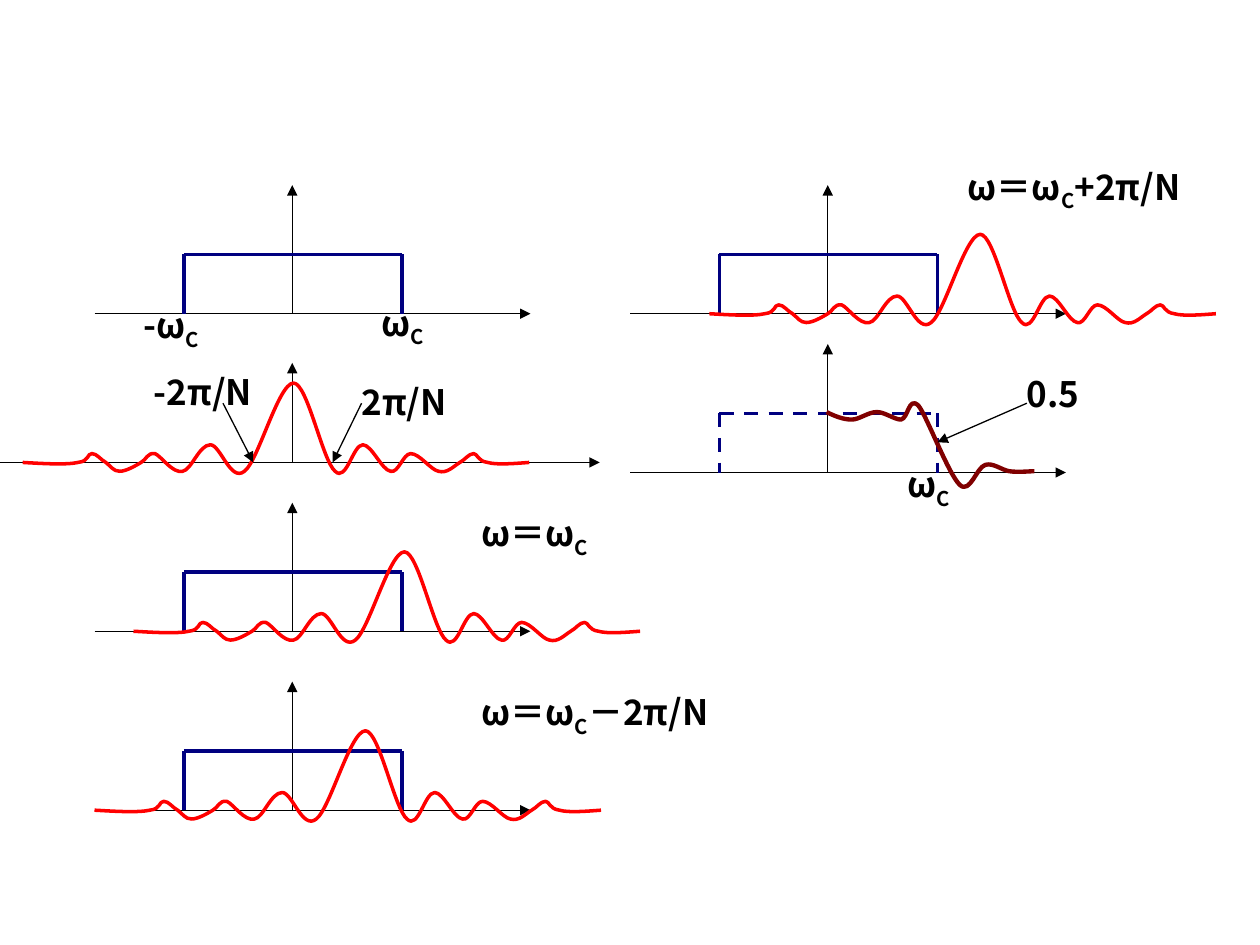
from lxml import etree
from pptx import Presentation
from pptx.dml.color import RGBColor
from pptx.enum.dml import MSO_LINE
from pptx.enum.shapes import MSO_CONNECTOR
from pptx.enum.text import MSO_AUTO_SIZE
from pptx.oxml.ns import qn
from pptx.util import Inches, Pt

STRAIGHT = MSO_CONNECTOR.STRAIGHT
DASH = MSO_LINE.DASH
GROW = MSO_AUTO_SIZE.SHAPE_TO_FIT_TEXT

THEME = dict(font="Noto Sans CJK SC", size=20, text="000000", axis="000000",
             band="000080", kernel="FF0000", result="800000",
             thin=0.75, thick=2, heavy=2.5)

# Plots: axis left, axis right, origin x, baseline, y-axis height,
# band style (None, "solid" or "dash"), kernel start x, small tick
PLOTS = [
    (0.75, 4.21, 2.32, 2.49, 1.02, "solid", None, False),
    (0, 4.76, 2.32, 3.67, 0.79, None, 0.18, False),
    (0.75, 4.21, 2.32, 5.01, 1.02, "solid", 1.06, True),
    (0.75, 4.21, 2.32, 6.43, 1.02, "solid", 0.75, True),
    (5, 8.46, 6.57, 2.49, 1.02, "solid", 5.63, True),
    (5, 8.46, 6.57, 3.75, 1.02, "dash", None, False),
]
BAND_LEFT, BAND_RIGHT, BAND_HEIGHT = -0.86, 0.87, 0.47
TICK = (0.47, 0.40)

# Bezier points: a start, then two controls and an end for each segment
KERNEL = [
    (0, 0), (.17, .01), (.35, .02), (.44, 0), (.53, -.01), (.51, -.07), (.55, -.07),
    (.59, -.07), (.62, -.02), (.66, 0), (.70, .03), (.72, .07), (.77, .07),
    (.82, .07), (.89, .03), (.94, 0), (.98, -.02), (.99, -.08), (1.05, -.07),
    (1.10, -.05), (1.19, .09), (1.27, .07), (1.34, .06), (1.40, -.14), (1.49, -.14),
    (1.57, -.14), (1.65, .16), (1.76, .07), (1.87, -.01), (2.03, -.63), (2.15, -.63),
    (2.26, -.63), (2.38, -.01), (2.48, .07), (2.57, .16), (2.62, -.14), (2.70, -.14),
    (2.77, -.14), (2.85, .06), (2.92, .07), (2.98, .09), (3.02, -.07), (3.08, -.07),
    (3.15, -.07), (3.24, .06), (3.30, .07), (3.37, .09), (3.42, .03), (3.47, 0),
    (3.51, -.02), (3.54, -.07), (3.58, -.07), (3.61, -.07), (3.61, -.01), (3.69, 0),
    (3.76, .02), (3.89, .01), (4.02, 0),
]
RESULT = [
    (6.56, 3.27), (6.62, 3.30), (6.69, 3.33), (6.76, 3.33), (6.82, 3.33),
    (6.89, 3.27), (6.96, 3.27), (7.02, 3.27), (7.10, 3.33), (7.15, 3.33),
    (7.21, 3.32), (7.21, 3.14), (7.29, 3.22), (7.36, 3.31), (7.53, 3.77),
    (7.62, 3.85), (7.70, 3.92), (7.75, 3.71), (7.82, 3.69), (7.88, 3.67),
    (7.95, 3.73), (8.01, 3.74), (8.08, 3.75), (8.17, 3.74), (8.21, 3.74),
]

# Labels: left, top, width, height, text before, subscript, text after
LABELS = [
    (3.82, 4.06, 1.26, 0.38, "ω＝ω", "C", ""),
    (3.82, 5.48, 2.44, 0.38, "ω＝ω", "C", "－2π/N"),
    (7.68, 1.31, 2.44, 0.38, "ω＝ω", "C", "+2π/N"),
    (7.20, 3.67, 1.26, 0.38, "ω", "C", ""),
    (3.03, 2.39, 0.47, 0.38, "ω", "C", ""),
    (1.14, 2.41, 0.71, 0.38, "-ω", "C", ""),
    (2.87, 3.02, 0.94, 0.33, "2π/N", "", ""),
    (1.22, 2.94, 0.94, 0.33, "-2π/N", "", ""),
    (8.15, 2.96, 0.94, 0.33, "0.5", "", ""),
]
POINTERS = [((2.87, 3.20), (2.64, 3.67)),
            ((1.77, 3.20), (2.01, 3.67)),
            ((8.15, 3.20), (7.44, 3.51))]


def style_line(sp, color, width):
    sp.line.color.rgb = RGBColor.from_string(THEME[color])
    sp.line.width = Pt(THEME[width])


def add_line(s, start, end, color="axis", width="thin", arrow=False, dash=False):
    sp = s.shapes.add_connector(STRAIGHT, *map(Inches, (*start, *end)))
    style_line(sp, color, width)
    if dash:
        sp.line.dash_style = DASH
    if arrow:
        etree.SubElement(sp.line._get_or_add_ln(), qn("a:tailEnd"), type="triangle")
    etree.SubElement(sp._element.spPr, qn("a:effectLst"))


def add_curve(s, points, color, width):
    """Draw a freeform over all Bezier points, then group them into cubic segments."""
    pts = [(Inches(x), Inches(y)) for x, y in points]
    builder = s.shapes.build_freeform(*pts[0])
    builder.add_line_segments(pts[1:], close=False)
    sp = builder.convert_to_shape()
    sp.shadow.inherit = False
    sp.fill.background()
    style_line(sp, color, width)
    path = next(sp._element.iter(qn("a:path")))
    steps = path.findall(qn("a:lnTo"))
    for i in range(0, len(steps), 3):
        cubic = etree.SubElement(path, qn("a:cubicBezTo"))
        for step in steps[i:i + 3]:
            cubic.append(step[0])
            path.remove(step)


def add_plot(s, left, right, origin, base, height, band, kernel, tick):
    add_line(s, (left, base), (right, base), arrow=True)
    add_line(s, (origin, base), (origin, base - height), arrow=True)
    if band:
        x1, x2, top = origin + BAND_LEFT, origin + BAND_RIGHT, base - BAND_HEIGHT
        for start, end in (((x1, top), (x1, base)), ((x1, top), (x2, top)),
                           ((x2, top), (x2, base))):
            add_line(s, start, end, "band", "thick", dash=band == "dash")
    if kernel is not None:
        add_curve(s, [(kernel + x, base + y) for x, y in KERNEL], "kernel", "thick")
    if tick:
        add_line(s, *((origin + dx, base) for dx in TICK))


def add_run(p, text, sub=False):
    r = p.add_run()
    r.text = text
    r.font.name = THEME["font"]
    r.font.size = Pt(THEME["size"])
    r.font.bold = True
    r.font.color.rgb = RGBColor.from_string(THEME["text"])
    rpr = r.font._element
    etree.SubElement(rpr, qn("a:ea"), typeface=THEME["font"])
    if sub:
        rpr.set("baseline", "-25000")


def add_label(s, left, top, width, height, before, sub, after):
    tf = s.shapes.add_textbox(*map(Inches, (left, top, width, height))).text_frame
    tf.margin_left = tf.margin_top = tf.margin_right = tf.margin_bottom = 0
    tf.word_wrap = True
    tf.auto_size = GROW
    p = tf.paragraphs[0]
    for text in (before, sub, after):
        if text:
            add_run(p, text, sub=text is sub)


def main():
    prs = Presentation()
    prs.slide_width, prs.slide_height = Inches(10), Inches(7.5)
    s = prs.slides.add_slide(prs.slide_layouts[6])
    for plot in PLOTS:
        add_plot(s, *plot)
    add_curve(s, RESULT, "result", "heavy")
    for label in LABELS:
        add_label(s, *label)
    for start, end in POINTERS:
        add_line(s, start, end, arrow=True)
    prs.save("out.pptx")


if __name__ == "__main__":
    main()
